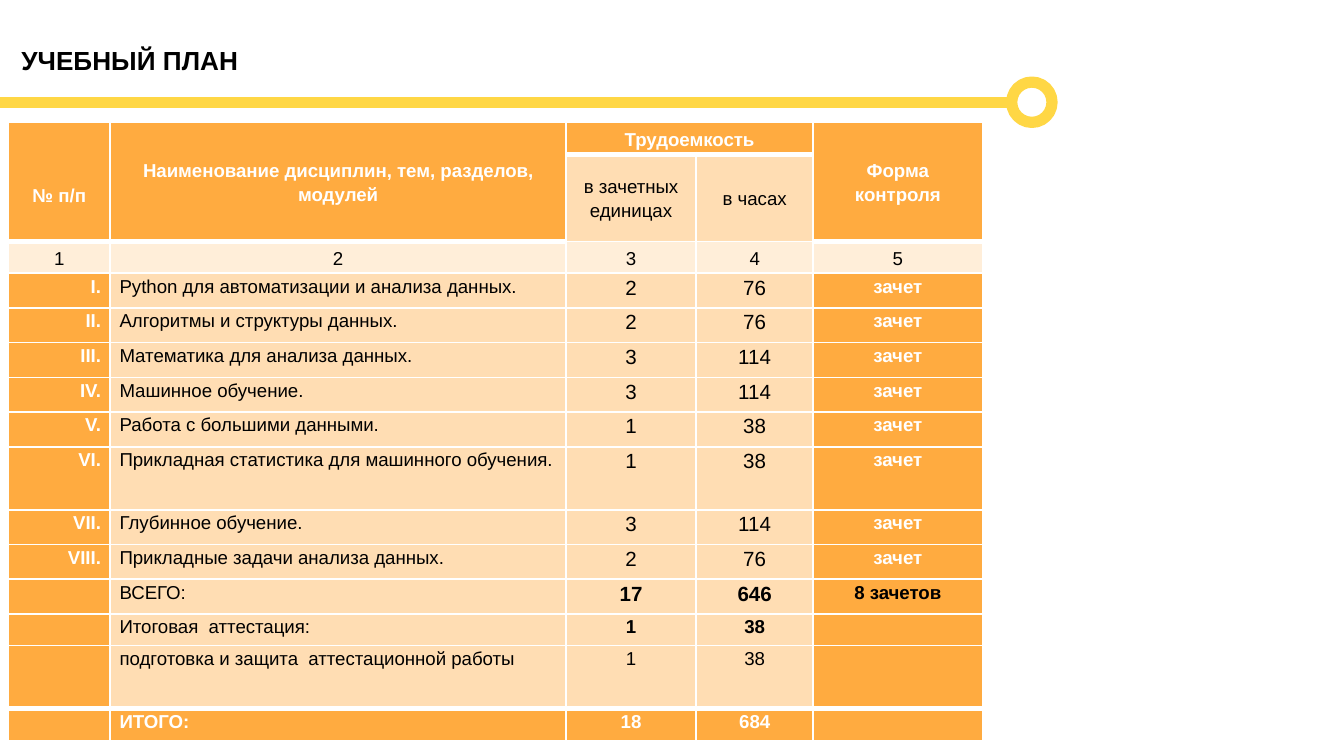
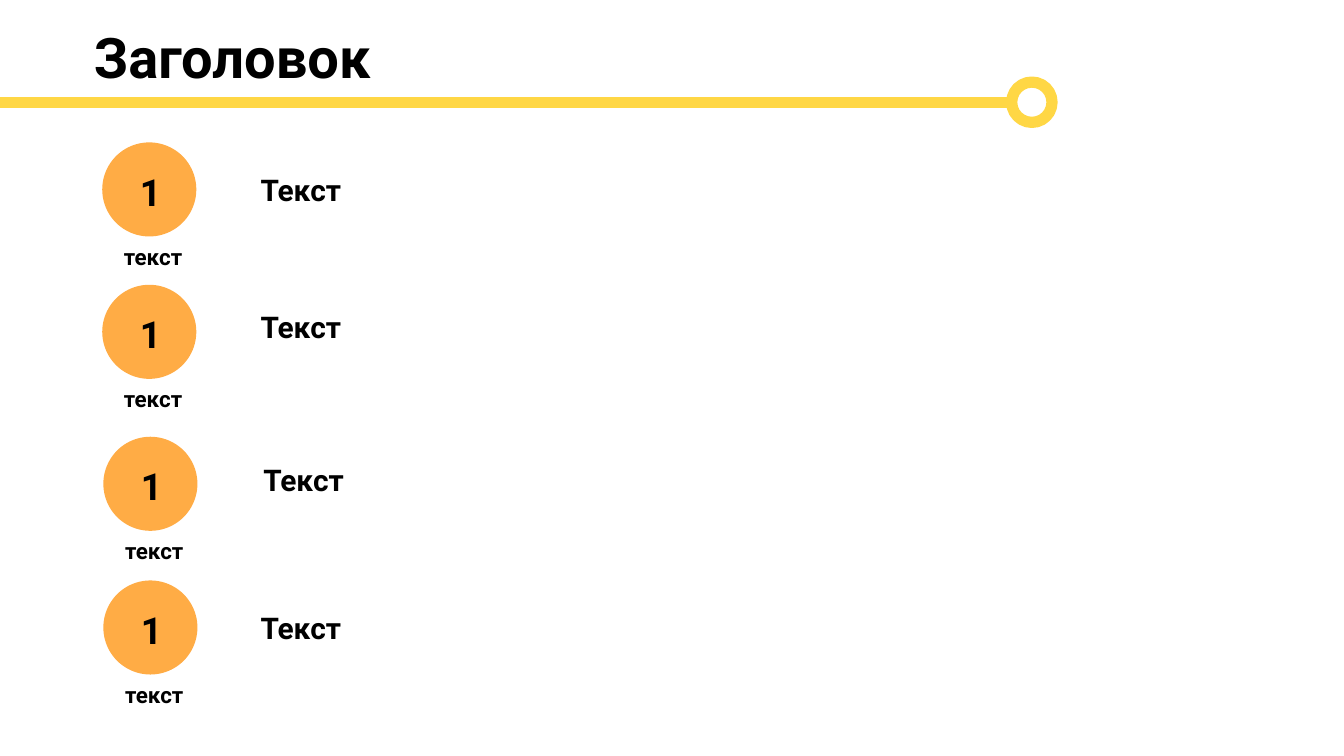
from dataclasses import dataclass
from typing import NamedTuple

from lxml import etree
from pptx import Presentation
from pptx.dml.color import RGBColor
from pptx.enum.shapes import MSO_CONNECTOR, MSO_SHAPE
from pptx.enum.text import MSO_ANCHOR, PP_ALIGN
from pptx.oxml.ns import qn
from pptx.slide import Slide
from pptx.table import Table, _Cell
from pptx.text.text import _Paragraph
from pptx.util import Pt

LEFT, MID, RIGHT, FULL = PP_ALIGN.LEFT, PP_ALIGN.CENTER, PP_ALIGN.RIGHT, PP_ALIGN.JUSTIFY
TOP, CENTER = MSO_ANCHOR.TOP, MSO_ANCHOR.MIDDLE
OVAL, DISC = MSO_SHAPE.OVAL, MSO_SHAPE.FLOWCHART_CONNECTOR
STRAIGHT = MSO_CONNECTOR.STRAIGHT

BLACK = RGBColor(0x00, 0x00, 0x00)
WHITE = RGBColor(0xFF, 0xFF, 0xFF)
YELLOW = RGBColor(0xFF, 0xD7, 0x45)
ORANGE = RGBColor(0xFF, 0xAB, 0x40)
AMBER = RGBColor(0xFF, 0xAC, 0x45)
PEACH = RGBColor(0xFF, 0xDD, 0xB3)
CREAM = RGBColor(0xFF, 0xEE, 0xD9)
ARIAL, ROBOTO = "Arial", "Roboto"

RULE_Y, RING_X, RING = 54.8, 542, 21.6
BAND = 6


class Look(NamedTuple):
    fill: RGBColor
    color: RGBColor
    bold: bool = False
    size: float = 10
    align: PP_ALIGN = MID
    anchor: MSO_ANCHOR = TOP


class Row(NamedTuple):
    height: float
    looks: tuple[Look, ...]
    texts: tuple[str, ...]


@dataclass
class Step:
    left: float
    top: float
    word_x: float
    word_y: float
    width: float
    align: PP_ALIGN


HEAD = Look(ORANGE, WHITE, True, anchor=CENTER)
PART = Look(PEACH, BLACK, anchor=CENTER)
INDEX = Look(CREAM, BLACK, anchor=CENTER)
ORDER = Look(ORANGE, WHITE, True, align=RIGHT)
NAME = Look(PEACH, BLACK, align=LEFT)
COUNT = Look(PEACH, BLACK, size=11)
TEST = Look(ORANGE, WHITE, True)
SUM = Look(PEACH, BLACK, True, 11)
TESTS = Look(ORANGE, BLACK, True)
EXAM = Look(PEACH, BLACK, True)
WORK = Look(PEACH, BLACK)
TOTAL = Look(ORANGE, WHITE, True, align=LEFT)

LOW, ROW, HIGH = 17, 18.6, 33.8
COLS = (54.7, 244.1, 69.8, 62.7, 90.7)
ITEMS = (
    ("I.", "Python для автоматизации и анализа данных.", "2", "76", ROW),
    ("II.", "Алгоритмы и структуры данных.", "2", "76", ROW),
    ("III.", "Математика для анализа данных.", "3", "114", ROW),
    ("IV.", "Машинное обучение.", "3", "114", ROW),
    ("V.", "Работа с большими данными.", "1", "38", ROW),
    ("VI.", "Прикладная статистика для машинного обучения.", "1", "38", HIGH),
    ("VII.", "Глубинное обучение.", "3", "114", ROW),
    ("VIII.", "Прикладные задачи анализа данных.", "2", "76", ROW),
)
ROWS = (
    Row(LOW, (HEAD,) * 5, ("№ п/п", "Наименование дисциплин, тем, разделов, модулей",
                           "Трудоемкость", "", "Форма контроля")),
    Row(46.8, (HEAD, HEAD, PART, PART, HEAD),
        ("", "", "в зачетных единицах", "в часах", "")),
    Row(LOW, (INDEX,) * 5, ("1", "2", "3", "4", "5")),
    *(Row(tall, (ORDER, NAME, COUNT, COUNT, TEST), (mark, name, units, hours, "зачет"))
      for mark, name, units, hours, tall in ITEMS),
    Row(ROW, (ORDER, NAME, SUM, SUM, TESTS), ("", "ВСЕГО:", "17", "646", "8 зачетов")),
    Row(LOW, (ORDER, NAME, EXAM, EXAM, TEST), ("", "Итоговая  аттестация:", "1", "38", "")),
    Row(HIGH, (ORDER, NAME, WORK, WORK, TEST),
        ("", "подготовка и защита  аттестационной работы", "1", "38", "")),
    Row(LOW, (ORDER, TOTAL, TEST, TEST, TEST), ("", "ИТОГО:", "18", "684", "")),
)
MERGES = ((0, 0, 1, 0), (0, 1, 1, 1), (0, 2, 0, 3), (0, 4, 1, 4))
LAST = len(ROWS) - 1
THICK = {(1, col) for col in range(5)} | {(LAST, col) for col in range(5)} | {
    (2, col) for col in (0, 1, 4)}

STEPS = (
    Step(54.8, 76.3, 132.5, 88.6, 259, FULL),
    Step(54.8, 152.6, 132.5, 162, 259, FULL),
    Step(55.4, 234, 134, 244, 451, LEFT),
    Step(55.4, 311, 132.5, 323.3, 259, LEFT),
)


def add_run(para: _Paragraph, text: str, font: str, size: float,
            color: RGBColor, bold: bool) -> None:
    run = para.add_run()
    run.text = text
    run.font.name = font
    run.font.size = Pt(size)
    run.font.bold = bold
    run.font.color.rgb = color


def add_box(slide: Slide, left: float, top: float, width: float, height: float,
            text: str, size: float, font: str = ROBOTO, align: PP_ALIGN = LEFT) -> None:
    box = slide.shapes.add_textbox(Pt(left), Pt(top), Pt(width), Pt(height))
    box.text_frame.word_wrap = True
    para = box.text_frame.paragraphs[0]
    para.alignment = align
    add_run(para, text, font, size, BLACK, True)


def add_frame(slide: Slide, title: str, left: float, top: float,
              size: float, font: str) -> None:
    add_box(slide, left, top, 532, 29, title, size, font)
    rule = slide.shapes.add_connector(STRAIGHT, Pt(-2), Pt(RULE_Y), Pt(RING_X), Pt(RULE_Y))
    rule.line.color.rgb = YELLOW
    rule.line.width = Pt(BAND)
    etree.SubElement(rule._element.spPr, qn("a:effectLst"))
    ring = slide.shapes.add_shape(OVAL, Pt(RING_X), Pt(RULE_Y - RING / 2), Pt(RING), Pt(RING))
    ring.shadow.inherit = False
    ring.fill.background()
    ring.line.color.rgb = YELLOW
    ring.line.width = Pt(BAND)


def add_edges(cell: _Cell, row: int, col: int) -> None:
    props = cell._tc.get_or_add_tcPr()
    edges = {"L": False, "R": False, "T": (row, col) in THICK, "B": (row + 1, col) in THICK}
    for side, thick in edges.items():
        line = etree.SubElement(props, qn(f"a:ln{side}"), w=str(Pt(3 if thick else 1)))
        fill = etree.SubElement(line, qn("a:solidFill"))
        etree.SubElement(fill, qn("a:srgbClr"), val=str(WHITE))


def fill_cell(cell: _Cell, text: str, look: Look) -> None:
    cell.fill.solid()
    cell.fill.fore_color.rgb = look.fill
    cell.margin_left = cell.margin_right = Pt(5)
    cell.margin_top = cell.margin_bottom = Pt(0)
    cell.vertical_anchor = look.anchor
    para = cell.text_frame.paragraphs[0]
    para.alignment = look.align
    para.line_spacing = 1.15
    if text:
        add_run(para, text, ARIAL, look.size, look.color, look.bold)
    else:
        etree.SubElement(para._p, qn("a:endParaRPr"), sz="1000")


def add_plan(slide: Slide) -> Table:
    tall = sum(row.height for row in ROWS)
    table = slide.shapes.add_table(len(ROWS), len(COLS), Pt(4.4), Pt(65.6),
                                   Pt(sum(COLS)), Pt(tall)).table
    table.first_row = table.horz_banding = False
    for col, width in enumerate(COLS):
        table.columns[col].width = Pt(width)
    for num, row in enumerate(ROWS):
        table.rows[num].height = Pt(row.height)
        for col, (text, look) in enumerate(zip(row.texts, row.looks)):
            cell = table.cell(num, col)
            add_edges(cell, num, col)
            fill_cell(cell, text, look)
    for top, left, base, right in MERGES:
        table.cell(top, left).merge(table.cell(base, right))
    return table


def add_step(slide: Slide, step: Step) -> None:
    disc = slide.shapes.add_shape(DISC, Pt(step.left), Pt(step.top), Pt(50.4), Pt(50.4))
    disc.shadow.inherit = False
    disc.fill.solid()
    disc.fill.fore_color.rgb = AMBER
    disc.line.fill.background()
    add_box(slide, step.left + 13, step.top + 10.6, 29.5, 36, "1", 20, align=FULL)
    add_box(slide, step.left - 3, step.top + 50.4, 60.5, 36, "текст", 12, align=MID)
    add_box(slide, step.word_x, step.word_y, step.width, 36, "Текст", 16, align=step.align)


def main() -> None:
    deck = Presentation()
    deck.slide_width, deck.slide_height = Pt(720), Pt(405)
    blank = deck.slide_layouts[6]

    plan = deck.slides.add_slide(blank)
    add_frame(plan, "УЧЕБНЫЙ ПЛАН", 4.4, 20.2, 14, ARIAL)
    table = add_plan(plan)
    table.cell(0, 0).margin_top = Pt(13.2)

    steps = deck.slides.add_slide(blank)
    add_frame(steps, "Заголовок", 43.2, 8.6, 30, ROBOTO)
    for step in STEPS:
        add_step(steps, step)

    deck.save("out.pptx")


if __name__ == "__main__":
    main()
